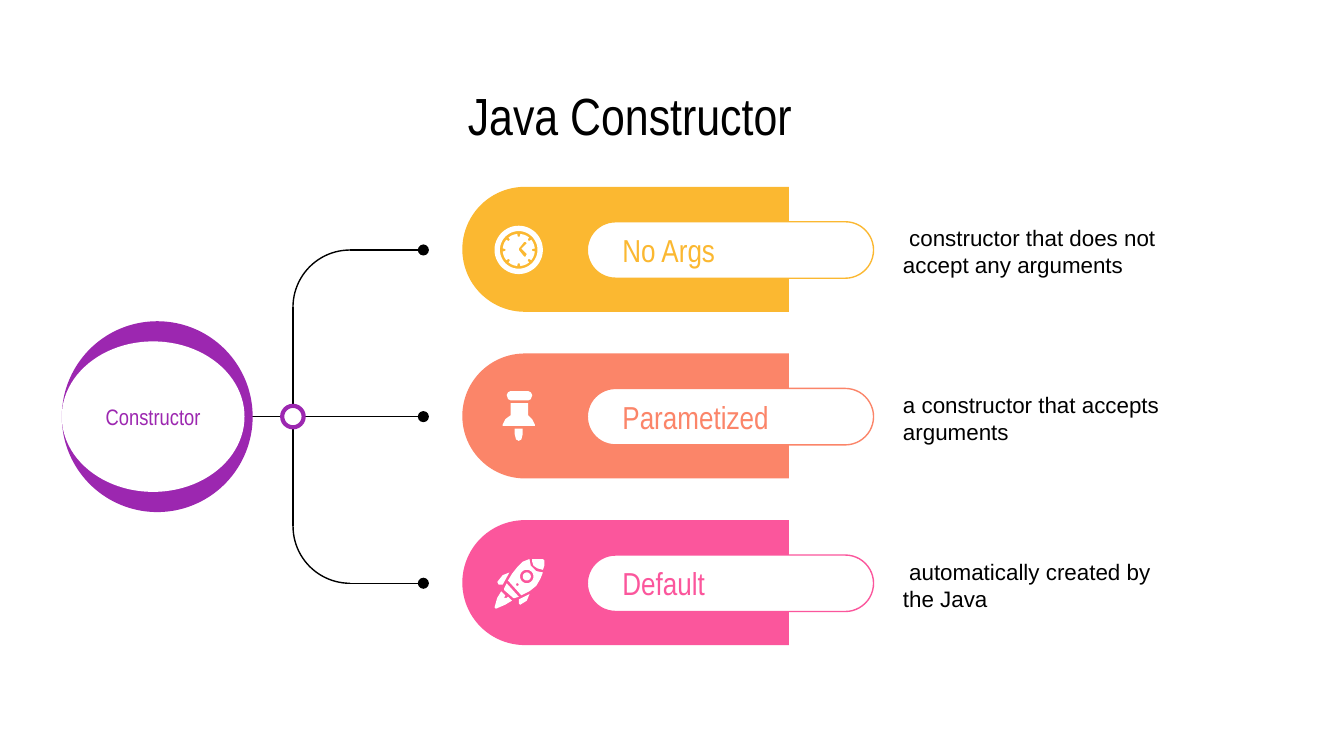
from dataclasses import dataclass
from math import cos, pi, sin

from lxml.etree import SubElement
from pptx import Presentation
from pptx.dml.color import RGBColor
from pptx.enum.shapes import MSO_CONNECTOR, MSO_SHAPE
from pptx.enum.text import MSO_ANCHOR, PP_ALIGN
from pptx.oxml.ns import qn
from pptx.shapes.autoshape import Shape
from pptx.slide import Slide
from pptx.text.text import TextFrame
from pptx.util import Inches, Pt

BLACK = RGBColor(0x00, 0x00, 0x00)
WHITE = RGBColor(0xFF, 0xFF, 0xFF)
PURPLE = RGBColor(0x9C, 0x27, 0xB0)
YELLOW = RGBColor(0xFB, 0xB8, 0x31)
CORAL = RGBColor(0xFB, 0x85, 0x69)
PINK = RGBColor(0xFB, 0x56, 0x9C)
NARROW = "Arial Narrow"

MIDDLE_Y = 3.1
ROW_PITCH = 1.24
TRUNK_X = 2.18
DOT_X = 3.15
BEND = 0.85

Point = tuple[float, float]
Contour = list[Point]


@dataclass(frozen=True)
class Branch:
    label: str
    description: str
    color: RGBColor
    center_y: float


BRANCHES = [
    Branch("No Args", " constructor that does not accept any arguments", YELLOW, MIDDLE_Y - ROW_PITCH),
    Branch("Parametized", "a constructor that accepts arguments", CORAL, MIDDLE_Y),
    Branch("Default", " automatically created by the Java", PINK, MIDDLE_Y + ROW_PITCH),
]


def polar(center: Point, radius: float, angle: float) -> Point:
    return center[0] + radius * cos(angle), center[1] + radius * sin(angle)


def circle(center: Point, radius: float) -> Contour:
    return [polar(center, radius, step * pi / 24) for step in range(48)]


def notched_dial(center: Point) -> Contour:
    notch = [(0.12, -0.3), (0.12, -0.1), (0.1, -0.07), (0.1, 0.07), (0.12, 0.1), (0.12, 0.3)]
    return [polar(center, radius, step * pi / 4 + turn) for step in range(8) for radius, turn in notch]


CLOCK_CENTER = (3.86, 1.86)
CLOCK_HANDS = [(3.91, 1.8), (3.92, 1.81), (3.88, 1.85), (3.92, 1.89), (3.91, 1.91),
               (3.9, 1.91), (3.86, 1.86), (3.86, 1.85), (3.9, 1.8)]

ICON_PARTS: list[list[Contour]] = [
    [circle(CLOCK_CENTER, 0.18), circle(CLOCK_CENTER, 0.14)],
    [notched_dial(CLOCK_CENTER), CLOCK_HANDS],
    [[(3.8, 2.91), (3.93, 2.91), (3.95, 2.92), (3.96, 2.94), (3.95, 2.97), (3.93, 2.98),
      (3.8, 2.98), (3.78, 2.97), (3.77, 2.94), (3.78, 2.92)]],
    [[(3.8, 3), (3.93, 3), (3.93, 3.09), (3.96, 3.12), (3.98, 3.16), (3.98, 3.17),
      (3.74, 3.17), (3.74, 3.16), (3.76, 3.12), (3.8, 3.09)]],
    [[(3.83, 3.19), (3.89, 3.19), (3.89, 3.23), (3.88, 3.27), (3.86, 3.28),
      (3.84, 3.27), (3.83, 3.23)]],
    [[(3.77, 4.34), (3.86, 4.44), (3.83, 4.45), (3.82, 4.45), (3.75, 4.39), (3.75, 4.38)]],
    [[(3.96, 4.16), (4.04, 4.16), (4.05, 4.17), (4.05, 4.21), (4.04, 4.24),
      (4, 4.23), (3.97, 4.21), (3.96, 4.18)]],
    [circle((3.92, 4.29), 0.03)],
    [[(3.94, 4.16), (3.89, 4.18), (3.85, 4.22), (3.81, 4.27), (3.78, 4.32), (3.88, 4.43),
      (3.94, 4.4), (3.99, 4.36), (4.02, 4.31), (4.04, 4.26), (3.99, 4.25), (3.95, 4.21)],
     circle((3.92, 4.29), 0.05), circle((3.85, 4.35), 0.01)],
    [[(3.94, 4.42), (3.86, 4.46), (3.86, 4.49), (3.87, 4.5), (3.92, 4.47)]],
    [[(3.79, 4.26), (3.74, 4.28), (3.7, 4.33), (3.71, 4.35), (3.74, 4.35)]],
    [[(3.73, 4.4), (3.76, 4.43), (3.75, 4.45), (3.77, 4.45), (3.78, 4.44), (3.81, 4.47),
      (3.76, 4.5), (3.69, 4.53), (3.68, 4.52), (3.7, 4.45)]],
]


def write(frame: TextFrame, text: str, size: float, font: str, color: RGBColor,
          align: PP_ALIGN = PP_ALIGN.LEFT, anchor: MSO_ANCHOR = MSO_ANCHOR.MIDDLE,
          left_inset: float = 0.1) -> None:
    frame.text = text
    frame.word_wrap = True
    frame.vertical_anchor = anchor
    frame.margin_left = Inches(left_inset)
    frame.margin_top = frame.margin_right = frame.margin_bottom = Inches(0.1)
    paragraph = frame.paragraphs[0]
    paragraph.alignment = align
    for run in paragraph.runs:
        run.font.size = Pt(size)
        run.font.name = font
        run.font.color.rgb = color


def paint(shape: Shape, fill: RGBColor | None, line: RGBColor | None = None,
          width: float = 0.75) -> None:
    shape.shadow.inherit = False
    if fill is None:
        shape.fill.background()
    else:
        shape.fill.solid()
        shape.fill.fore_color.rgb = fill
    if line is None:
        shape.line.fill.background()
    else:
        shape.line.color.rgb = line
        shape.line.width = Pt(width)


def add_box(slide: Slide, kind: MSO_SHAPE, left: float, top: float, width: float, height: float,
            fill: RGBColor | None, line: RGBColor | None = None, line_width: float = 0.75) -> Shape:
    shape = slide.shapes.add_shape(kind, Inches(left), Inches(top), Inches(width), Inches(height))
    paint(shape, fill, line, line_width)
    return shape


def add_line(slide: Slide, start: Point, end: Point, dot: bool = False) -> None:
    line = slide.shapes.add_connector(MSO_CONNECTOR.STRAIGHT, *map(Inches, start + end))
    line.line.color.rgb = BLACK
    line.line.width = Pt(0.75)
    if dot:
        SubElement(line.line._get_or_add_ln(), qn("a:tailEnd"), type="oval", w="med", len="med")
    SubElement(line._element.spPr, qn("a:effectLst"))


def add_outline(slide: Slide, contours: list[Contour], fill: RGBColor) -> None:
    outer, *holes = [[(Inches(x), Inches(y)) for x, y in contour] for contour in contours]
    builder = slide.shapes.build_freeform(*outer[0])
    builder.add_line_segments(outer[1:], close=True)
    for hole in holes:
        builder.move_to(*hole[0])
        builder.add_line_segments(hole[1:], close=True)
    paint(builder.convert_to_shape(), fill)


def add_branch(slide: Slide, branch: Branch) -> None:
    y = branch.center_y
    tab = add_box(slide, MSO_SHAPE.ROUND_2_SAME_RECTANGLE, 4.19, y - 1.22, 0.93, 2.43, branch.color)
    tab.adjustments[0] = 0.5
    tab.rotation = 270
    pill = add_box(slide, MSO_SHAPE.ROUNDED_RECTANGLE, 4.37, y - 0.21, 2.13, 0.42, WHITE, branch.color)
    pill.adjustments[0] = 0.5
    write(pill.text_frame, branch.label, 17, NARROW, branch.color, left_inset=0.2)
    note = slide.shapes.add_textbox(Inches(6.62), Inches(y - 0.29), Inches(2.28), Inches(0.58))
    write(note.text_frame, branch.description, 12, "Arial", BLACK, anchor=MSO_ANCHOR.TOP)


def add_tree(slide: Slide, top_y: float, bottom_y: float) -> None:
    bend_x = TRUNK_X + BEND / 2
    for y, arc_top, trunk_y, turn in [
        (top_y, top_y, top_y + BEND / 2, 270),
        (bottom_y, bottom_y - BEND, bottom_y - BEND / 2, 180),
    ]:
        bend = add_box(slide, MSO_SHAPE.ARC, TRUNK_X, arc_top, BEND, BEND, None, BLACK)
        bend.rotation = turn
        add_line(slide, (bend_x, y), (DOT_X, y), dot=True)
        add_line(slide, (TRUNK_X, trunk_y), (TRUNK_X, MIDDLE_Y))
    add_line(slide, (1.43, MIDDLE_Y), (DOT_X, MIDDLE_Y), dot=True)
    add_box(slide, MSO_SHAPE.OVAL, 2.1, 3.02, 0.16, 0.16, WHITE, PURPLE, 2.25)
    add_box(slide, MSO_SHAPE.OVAL, 0.46, 2.39, 1.42, 1.42, PURPLE)
    root = add_box(slide, MSO_SHAPE.OVAL, 0.46, 2.54, 1.36, 1.12, WHITE)
    write(root.text_frame, "Constructor", 12, NARROW, PURPLE, PP_ALIGN.CENTER)


def main() -> None:
    deck = Presentation()
    deck.slide_width = Inches(10)
    deck.slide_height = deck.slide_width * 9 // 16
    slide = deck.slides.add_slide(deck.slide_layouts[5])
    title = slide.shapes.title
    title.left, title.top, title.width, title.height = map(Inches, (0.46, 0.59, 8.45, 0.53))
    write(title.text_frame, "Java Constructor", 28, NARROW, BLACK, PP_ALIGN.CENTER)
    for branch in BRANCHES:
        add_branch(slide, branch)
    for part in ICON_PARTS:
        add_outline(slide, part, WHITE)
    add_tree(slide, BRANCHES[0].center_y, BRANCHES[-1].center_y)
    deck.save("out.pptx")


if __name__ == "__main__":
    main()
